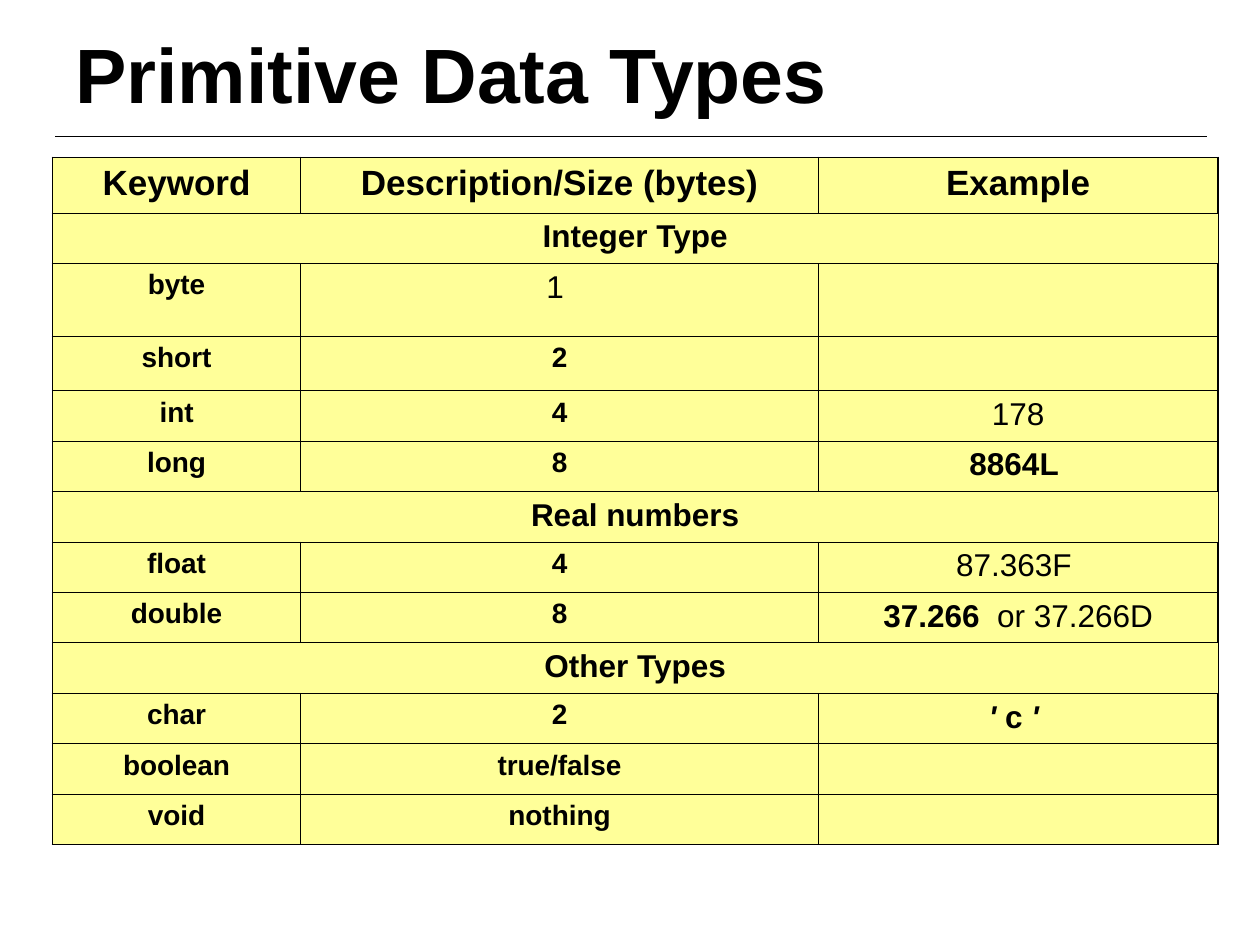
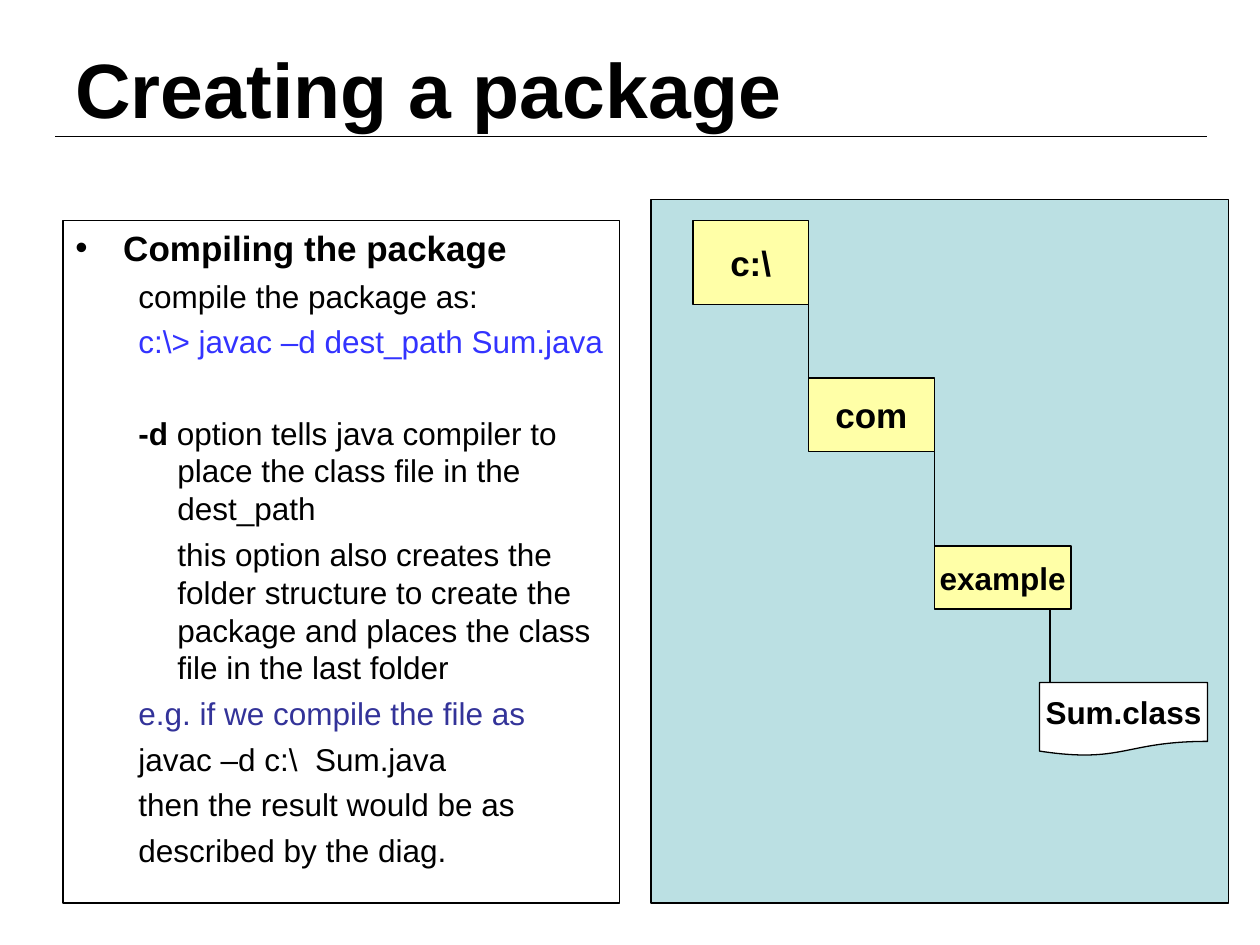
from lxml import etree
from pptx import Presentation
from pptx.dml.color import RGBColor
from pptx.enum.shapes import MSO_CONNECTOR, MSO_SHAPE
from pptx.enum.text import MSO_ANCHOR, PP_ALIGN
from pptx.oxml.ns import qn
from pptx.util import Emu, Inches, Pt

RECT = MSO_SHAPE.RECTANGLE
DOCUMENT = MSO_SHAPE.FLOWCHART_DOCUMENT
STRAIGHT = MSO_CONNECTOR.STRAIGHT
MIDDLE = MSO_ANCHOR.MIDDLE
CENTER = PP_ALIGN.CENTER
LEFT = PP_ALIGN.LEFT

FONT = "Arial"
BLACK, WHITE = "000000", "FFFFFF"
TABLE_YELLOW, FOLDER_YELLOW, PANEL_TEAL = "FFFF99", "FFFFA7", "BBE0E3"
COMMAND_BLUE, EXAMPLE_BLUE = "3333FF", "333399"
GRID = Inches(1) // 12
THIN, THICK, OUTLINE = 0.45, 1.08, 0.75
PLAIN = {"bold": False}
ITALIC = {"italic": True}

COLUMN_WIDTHS = [1.97, 4.11, 3.17]
ROW_HEIGHTS = [0.44, 0.4, 0.58, 0.43] + [0.4] * 9
TYPE_ROWS = [
    ["Keyword", "Description/Size (bytes)", "Example"],
    ["Integer Type"],
    ["byte", [("1 ", {"size": 18, **PLAIN})], ""],
    ["short", "2", ""],
    ["int", "4", [("178", PLAIN)]],
    ["long", "8", "8864L "],
    ["Real numbers"],
    ["float", "4", [("87.363F ", PLAIN)]],
    ["double", "8", [("37.266", {}), ("  or 37.266D", PLAIN)]],
    ["Other Types"],
    ["char", "2", [("'", ITALIC), (" c ", {}), ("' ", ITALIC)]],
    ["boolean", "true/false", ""],
    ["void", "nothing", ""],
]

COMPILE_STEPS = [
    ("compile the package as:", {}),
    ("c:\\> javac –d dest_path Sum.java", {"color": COMMAND_BLUE}),
    ([("-d", {"bold": True}),
      (" option tells java compiler to place the class file in the dest_path", {})],
     {"before": 30.6}),
    ("this option also creates the folder structure to create the package "
     "and places the class file in the last folder", {"hang": 0}),
    ("e.g. if we compile the file as", {"color": EXAMPLE_BLUE}),
    ("javac –d c:\\  Sum.java", {}),
    ("then the result would be as", {}),
    ("described by the diag.", {}),
]

FOLDERS = [
    ("c:\\", (66, 21, 11, 8), 20),
    ("com", (77, 36, 12, 7), 20),
    ("example", (89, 52, 13, 6), 18),
]
CLASS_FILE = ("Sum.class", (99, 65, 16, 7), 18)
DROPS = [(77, 29, 36), (89, 43, 52), (100, 58, 65)]


def rgb(color):
    return RGBColor.from_string(color)


def grid(*cells):
    return [Emu(round(n * GRID)) for n in cells]


def write(p, text, size=18, bold=False, italic=False, color=BLACK, align=LEFT,
          before=0, margin=0, hang=0, bullet=None):
    pPr = p._p.get_or_add_pPr()
    if margin:
        pPr.set("marL", str(Inches(margin)))
        pPr.set("indent", str(-Inches(hang)))
    p.space_before = Pt(before)
    if bullet:
        bu_color = etree.SubElement(pPr, qn("a:buClr"))
        etree.SubElement(bu_color, qn("a:srgbClr"), val=color)
        etree.SubElement(pPr, qn("a:buFont"), typeface=FONT)
        etree.SubElement(pPr, qn("a:buChar"), char=bullet)
    p.alignment = align
    base = {"size": size, "bold": bold, "italic": italic, "color": color}
    for part, changes in [(text, {})] if isinstance(text, str) else text:
        look = {**base, **changes}
        r = p.add_run()
        r.text = part
        r.font.name = FONT
        r.font.size = Pt(look["size"])
        r.font.bold = look["bold"]
        r.font.italic = look["italic"]
        r.font.color.rgb = rgb(look["color"])


def outline(line):
    line.color.rgb = rgb(BLACK)
    line.width = Pt(OUTLINE)


def add_line(slide, x1, y1, x2, y2):
    line = slide.shapes.add_connector(STRAIGHT, *grid(x1, y1, x2, y2))
    outline(line.line)
    etree.SubElement(line._element.spPr, qn("a:effectLst"))


def add_box(slide, box, fill=None, kind=RECT):
    sp = slide.shapes.add_shape(kind, *grid(*box))
    sp.shadow.inherit = False
    if fill:
        sp.fill.solid()
        sp.fill.fore_color.rgb = rgb(fill)
    else:
        sp.fill.background()
    outline(sp.line)
    return sp


def add_node(slide, label, box, size, fill, kind=RECT):
    tf = add_box(slide, box, fill, kind).text_frame
    tf.word_wrap = False
    tf.vertical_anchor = MIDDLE
    write(tf.paragraphs[0], label, size=size, bold=True, align=CENTER)


def add_titled_slide(prs, title, title_rows):
    slide = prs.slides.add_slide(prs.slide_layouts[6])
    add_line(slide, 5.25, 13, 115, 13)
    tf = slide.shapes.add_textbox(*grid(6, 3.6, 108, title_rows)).text_frame
    tf.word_wrap = True
    tf.vertical_anchor = MIDDLE
    write(tf.paragraphs[0], title, size=44, bold=True)
    return slide


def set_borders(cell, **widths):
    tcPr = cell._tc.get_or_add_tcPr()
    for side, width in widths.items():
        ln = etree.SubElement(tcPr, qn(f"a:ln{side}"), w=str(Pt(width)))
        fill = etree.SubElement(ln, qn("a:solidFill"))
        etree.SubElement(fill, qn("a:srgbClr"), val=BLACK)


def style_cell(cell, row, col, last_row, last_col):
    def weight(thick):
        return THICK if thick else THIN

    outer_row = row in (0, last_row)
    set_borders(cell,
                L=weight(col == 0 or (outer_row and col == last_col)),
                R=weight(col == last_col or (outer_row and col == last_col - 1)),
                T=weight(row == 0),
                B=weight(row == last_row))
    cell.fill.solid()
    cell.fill.fore_color.rgb = rgb(TABLE_YELLOW)


def add_type_table(slide):
    rows, cols = len(TYPE_ROWS), len(COLUMN_WIDTHS)
    table = slide.shapes.add_table(rows, cols, *grid(5, 15, 111, 65.8)).table
    table.first_row = table.horz_banding = False
    for column, width in zip(table.columns, COLUMN_WIDTHS):
        column.width = Inches(width)
    for r, (row, height, texts) in enumerate(zip(table.rows, ROW_HEIGHTS, TYPE_ROWS)):
        row.height = Inches(height)
        for c, cell in enumerate(row.cells):
            style_cell(cell, r, c, rows - 1, cols - 1)
        is_section = len(texts) == 1
        if is_section:
            table.cell(r, 0).merge(table.cell(r, cols - 1))
        for c, text in enumerate(texts):
            size = 20 if r == 0 else 18 if is_section or c == cols - 1 else 16
            write(table.cell(r, c).text_frame.paragraphs[0], text,
                  size=size, bold=True, align=CENTER)


def add_compile_notes(slide):
    sp = add_box(slide, (6, 21, 53, 65))
    tf = sp.text_frame
    tf.word_wrap = True
    tf.vertical_anchor = MSO_ANCHOR.TOP
    write(tf.paragraphs[0], "Compiling the package", size=20, bold=True,
          margin=0.38, hang=0.38, bullet="•")
    for text, changes in COMPILE_STEPS:
        look = {"before": 4.5, "margin": 0.81, "hang": 0.31, **changes}
        write(tf.add_paragraph(), text, **look)


def add_folder_tree(slide):
    add_box(slide, (62, 19, 55, 67), PANEL_TEAL)
    for x, top, bottom in DROPS:
        add_line(slide, x, top, x, bottom)
    for folder in FOLDERS:
        add_node(slide, *folder, FOLDER_YELLOW)
    add_node(slide, *CLASS_FILE, WHITE, DOCUMENT)


def main():
    prs = Presentation()
    prs.slide_width, prs.slide_height = grid(120, 90)
    add_type_table(add_titled_slide(prs, "Primitive Data Types", 6.6))
    package = add_titled_slide(prs, "Creating a package", 9.5)
    add_compile_notes(package)
    add_folder_tree(package)
    prs.save("out.pptx")


if __name__ == "__main__":
    main()
